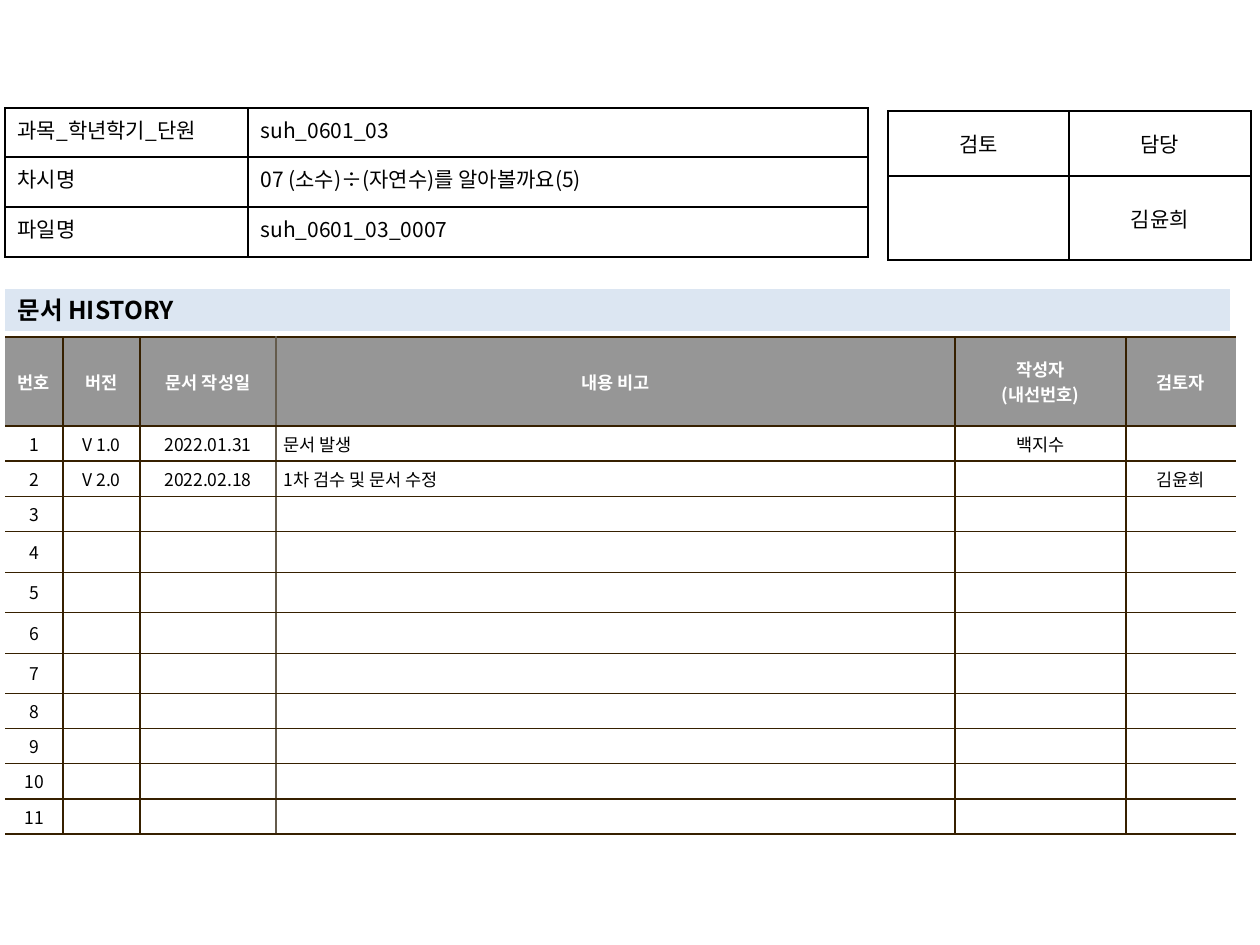
from lxml.etree import SubElement
from pptx import Presentation
from pptx.dml.color import RGBColor
from pptx.enum.text import MSO_ANCHOR, MSO_AUTO_SIZE, PP_ALIGN
from pptx.oxml.ns import qn
from pptx.util import Emu, Pt

BLACK = RGBColor(0x00, 0x00, 0x00)
WHITE = RGBColor(0xFF, 0xFF, 0xFF)
GRAY = RGBColor(0x96, 0x96, 0x96)
PALE_BLUE = RGBColor(0xDC, 0xE6, 0xF2)
BROWN = RGBColor(0x36, 0x20, 0x00)
TAUPE = RGBColor(0x64, 0x5B, 0x4C)
FONT = "Noto Sans CJK KR"

HEADING = "문서 HISTORY"
LESSON = [
    ["과목_학년학기_단원", "suh_0601_03"],
    ["차시명", "07 (소수)÷(자연수)를 알아볼까요(5)"],
    ["파일명", "suh_0601_03_0007"],
]
REVIEW = [["검토", "담당"], ["", "김윤희"]]
HISTORY_HEADER = ["번호", "버전", "문서 작성일", "내용 비고", "작성자\n(내선번호)", "검토자"]
ENTRIES = [
    ["V 1.0", "2022.01.31", "문서 발생", "백지수", ""],
    ["V 2.0", "2022.02.18", "1차 검수 및 문서 수정", "", "김윤희"],
]
ENTRY_COUNT = 11
NOTE_COLUMN = 3

LESSON_COLUMNS, LESSON_ROWS = [243, 620], [49, 50, 50]
REVIEW_COLUMNS, REVIEW_ROWS = [181, 182], [65, 84]
HISTORY_COLUMNS = [58, 77, 136, 679, 171, 110]
HISTORY_ROWS = [89] + [35] * 3 + [41, 40, 41, 40] + [35] * 4


def px(length):
    return Emu(round(length * 914400 / 126))


def style_run(run, size, color=BLACK, bold=False):
    run.font.size = Pt(size)
    run.font.name = FONT
    run.font.bold = bold
    run.font.color.rgb = color
    SubElement(run.font._element, qn("a:ea"), typeface=FONT)


def set_border(cell, side, color):
    line = SubElement(cell._tc.get_or_add_tcPr(), qn(f"a:{side}"), w=str(Pt(1)))
    if color is None:
        SubElement(line, qn("a:noFill"))
    else:
        SubElement(SubElement(line, qn("a:solidFill")), qn("a:srgbClr"), val=str(color))


def write_cell(cell, words, size, align, color=BLACK, bold=False):
    for index, line in enumerate(words.split("\n")):
        frame = cell.text_frame
        paragraph = frame.add_paragraph() if index else frame.paragraphs[0]
        paragraph.alignment = align
        if line:
            run = paragraph.add_run()
            run.text = line
            style_run(run, size, color, bold)
        else:
            paragraph._p.get_or_add_endParaRPr().set("sz", str(size * 100))


def add_grid(slide, left, top, columns, rows):
    table = slide.shapes.add_table(
        len(rows), len(columns), px(left), px(top), px(sum(columns)), px(sum(rows))
    ).table
    table.first_row = table.horz_banding = False
    for column, width in zip(table.columns, columns):
        column.width = px(width)
    for row, height in zip(table.rows, rows):
        row.height = px(height)
    return table


def add_form(slide, left, top, columns, rows, content, aligns, anchor):
    table = add_grid(slide, left, top, columns, rows)
    for r, line in enumerate(content):
        for c, words in enumerate(line):
            cell = table.cell(r, c)
            for side in ("lnL", "lnR", "lnT", "lnB"):
                set_border(cell, side, BLACK)
            cell.fill.background()
            cell.vertical_anchor = anchor
            write_cell(cell, words, 12, aligns[c])


def add_history(slide):
    blanks = [[""] * 5] * (ENTRY_COUNT - len(ENTRIES))
    numbered = [[str(n), *entry] for n, entry in enumerate(ENTRIES + blanks, 1)]
    table = add_grid(slide, 5, 337, HISTORY_COLUMNS, HISTORY_ROWS)
    edges = [None, BROWN, BROWN, TAUPE, BROWN, BROWN, None]
    for r, line in enumerate([HISTORY_HEADER] + numbered):
        header = r == 0
        for c, words in enumerate(line):
            cell = table.cell(r, c)
            borders = {"lnL": edges[c], "lnR": edges[c + 1], "lnT": BROWN, "lnB": BROWN}
            for side, color in borders.items():
                set_border(cell, side, color)
            cell.fill.solid()
            cell.fill.fore_color.rgb = GRAY if header else WHITE
            cell.vertical_anchor = MSO_ANCHOR.MIDDLE
            cell.margin_left = cell.margin_right = px(8)
            cell.margin_top = cell.margin_bottom = px(5)
            is_note = c == NOTE_COLUMN and not header
            align = PP_ALIGN.LEFT if is_note else PP_ALIGN.CENTER
            write_cell(cell, words, 10, align, WHITE if header else BLACK, header)


def add_heading(slide):
    heading = slide.shapes.title
    heading.left, heading.top, heading.width, heading.height = map(px, (5, 289, 1225, 42))
    heading.fill.solid()
    heading.fill.fore_color.rgb = PALE_BLUE
    frame = heading.text_frame
    frame.auto_size = MSO_AUTO_SIZE.NONE
    frame.vertical_anchor = MSO_ANCHOR.MIDDLE
    frame.paragraphs[0].alignment = PP_ALIGN.LEFT
    run = frame.paragraphs[0].add_run()
    run.text = HEADING
    style_run(run, 14, bold=True)


def main():
    deck = Presentation()
    deck.slide_width, deck.slide_height = px(1260), px(945)
    slide = deck.slides.add_slide(deck.slide_layouts[5])
    add_history(slide)
    add_form(slide, 888, 111, REVIEW_COLUMNS, REVIEW_ROWS, REVIEW,
             [PP_ALIGN.CENTER, PP_ALIGN.CENTER], MSO_ANCHOR.MIDDLE)
    add_heading(slide)
    add_form(slide, 5, 108, LESSON_COLUMNS, LESSON_ROWS, LESSON,
             [PP_ALIGN.JUSTIFY, PP_ALIGN.LEFT], MSO_ANCHOR.TOP)
    deck.save("out.pptx")


if __name__ == "__main__":
    main()
